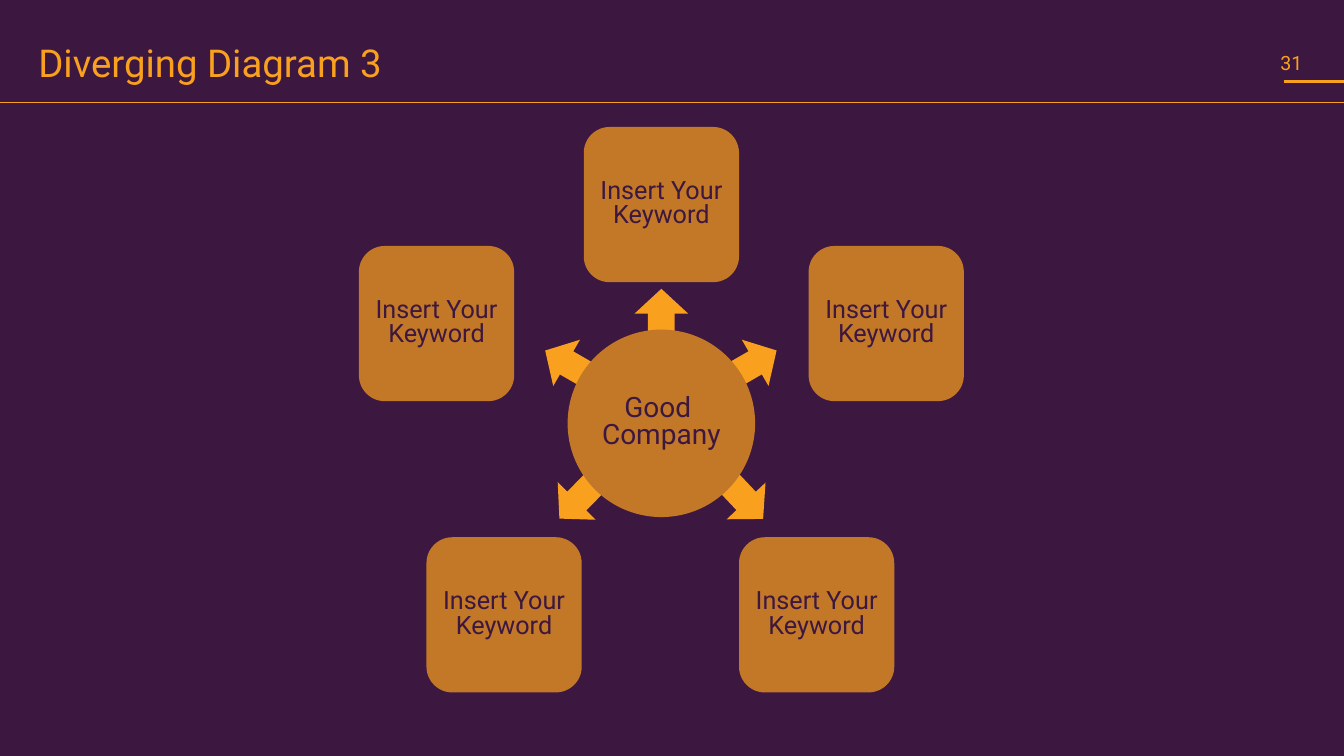
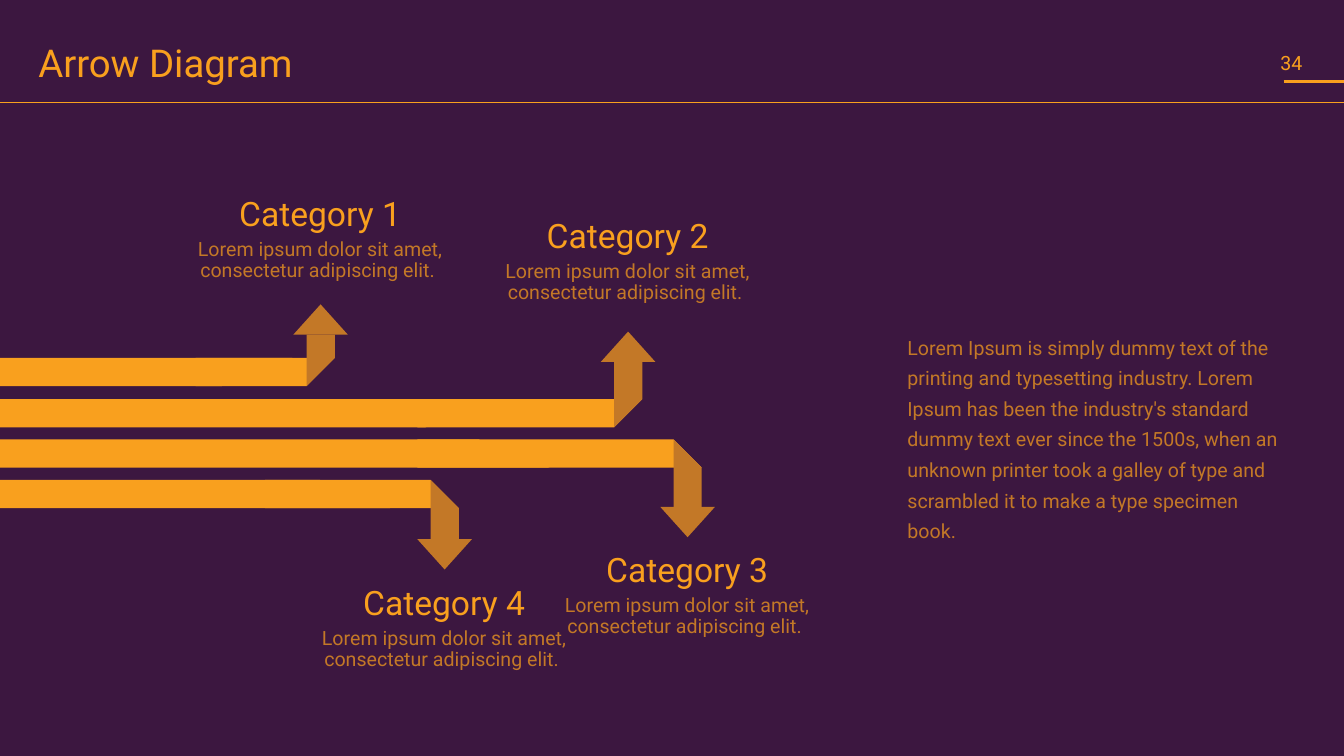
from dataclasses import dataclass

from lxml import etree
from pptx import Presentation
from pptx.dml.color import RGBColor
from pptx.enum.shapes import MSO_CONNECTOR, MSO_SHAPE
from pptx.enum.text import MSO_ANCHOR, MSO_AUTO_SIZE, PP_ALIGN
from pptx.oxml.ns import qn
from pptx.util import Inches, Pt

LEFT, MID = PP_ALIGN.LEFT, PP_ALIGN.CENTER
TOP, CORE = MSO_ANCHOR.TOP, MSO_ANCHOR.MIDDLE
FIXED = MSO_AUTO_SIZE.NONE
LINE = MSO_CONNECTOR.STRAIGHT
ARROW, DISC, CARD = MSO_SHAPE.RIGHT_ARROW, MSO_SHAPE.OVAL, MSO_SHAPE.ROUNDED_RECTANGLE


@dataclass(frozen=True)
class Theme:
    font: str = "Roboto"
    back: RGBColor = RGBColor(0x3C, 0x17, 0x40)
    gold: RGBColor = RGBColor(0xF9, 0xA0, 0x1E)
    rust: RGBColor = RGBColor(0xC3, 0x78, 0x27)
    title: float = 27.4
    head: float = 24
    hub: float = 20
    card: float = 18
    body: float = 14


theme = Theme()


def write(shape, text, size, color, align=LEFT, pitch=1.0, inset=0.05, anchor=TOP, gap=0, more=False):
    frame = shape.text_frame
    frame.word_wrap = True
    frame.auto_size = FIXED
    frame.vertical_anchor = anchor
    frame.margin_left = frame.margin_right = Inches(inset)
    frame.margin_top = frame.margin_bottom = Inches(inset)
    para = frame.add_paragraph() if more else frame.paragraphs[0]
    para.alignment = align
    para.line_spacing = pitch
    para.space_before = Pt(gap)
    run = para.add_run()
    run.text = text
    run.font.name = theme.font
    run.font.size = Pt(size)
    run.font.color.rgb = color


def paint(shape, color):
    shape.fill.solid()
    shape.fill.fore_color.rgb = color
    shape.line.fill.background()
    shape.shadow.inherit = False


deck = Presentation()
deck.slide_width = Inches(13.33)
deck.slide_height = Inches(7.5)
fill = deck.slide_master.background.fill
fill.solid()
fill.fore_color.rgb = theme.back

plan = deck.slide_layouts[5]
name = plan.placeholders[0]
name.left, name.top = Inches(0.33), Inches(0.44)
name.width, name.height = Inches(11.43), Inches(0.54)

slides = []
for title, page in (("Diverging Diagram 3", "31"), ("Arrow Diagram", "34")):
    slide = deck.slides.add_slide(plan)
    write(slide.shapes.title, title, theme.title, theme.gold, pitch=0.75)
    box = slide.shapes.add_textbox(Inches(12.63), Inches(0.44), Inches(0.4), Inches(0.37))
    write(box, page, theme.body, theme.gold, inset=0.07, anchor=CORE)
    slides.append(slide)

for start, level, weight in ((12.73, 0.81, 2), (0, 1.02, 0.5)):
    rule = slides[0].shapes.add_connector(
        LINE, Inches(start), Inches(level), deck.slide_width, Inches(level))
    rule.line.color.rgb = theme.gold
    rule.line.width = Pt(weight)
    etree.SubElement(rule.element.spPr, qn("a:effectLst"))
    plan.shapes.element.append(rule.element)

shapes = slides[0].shapes
mid_x, mid_y = 6.56, 4.2
card, disc = 1.54, 1.86
wide, high = 0.49, 0.53
nodes = (
    (0, -2.17, 0, -1.09, -90),
    (2.23, -0.99, 0.93, -0.6, -30),
    (1.54, 1.9, 0.84, 0.77, 46.6),
    (-1.56, 1.9, -0.84, 0.77, 134.6),
    (-2.23, -0.99, -0.94, -0.6, 210),
)
for card_x, card_y, tip_x, tip_y, turn in nodes:
    arrow = shapes.add_shape(
        ARROW, Inches(mid_x + tip_x - wide / 2), Inches(mid_y + tip_y - high / 2),
        Inches(wide), Inches(high))
    arrow.rotation = turn
    paint(arrow, theme.gold)
    node = shapes.add_shape(
        CARD, Inches(mid_x + card_x - card / 2), Inches(mid_y + card_y - card / 2),
        Inches(card), Inches(card))
    paint(node, theme.rust)
    write(node, "Insert Your Keyword", theme.card, theme.back, align=MID, pitch=0.8, anchor=CORE)

hub = shapes.add_shape(
    DISC, Inches(mid_x - disc / 2), Inches(mid_y - disc / 2), Inches(disc), Inches(disc))
paint(hub, theme.rust)
for word, more in (("Good ", False), ("Company", True)):
    write(hub, word, theme.hub, theme.back, align=MID, pitch=0.8, inset=0, anchor=CORE, more=more)

shapes = slides[1].shapes
band, half, wing, point, slant = 0.28, 0.14, 0.27, 0.3, 0.7
tracks = (
    ("Category 1", 3.18, 3.55, 3.02, 1.94, 2.9, 1.91),
    ("Category 2", 6.23, 3.96, 3.29, 4.14, 4.92, 2.13),
    ("Category 3", 6.82, 4.36, 5.33, 4.14, 5.45, 5.44),
    ("Category 4", 4.41, 4.76, 5.65, 2.63, 3.87, 5.77),
)
for label, x, top, tip, join, end, text_y in tracks:
    up = tip < top
    near, far = (top, top + band) if up else (top + band, top)
    neck = tip + point if up else tip - point
    west, east = x - half, x + half
    tail = ((0, far), (end - slant, far), (end, near), (0, near))
    bend = ((join, far), (west, far), (east, near), (join, near))
    stem = ((west, far), (east, near), (east, neck), (west, neck))
    head = ((x, tip), (x + wing, neck), (x - wing, neck))
    for path, color in ((tail, theme.gold), (bend, theme.gold), (stem, theme.rust), (head, theme.rust)):
        dots = [(Inches(a), Inches(b)) for a, b in path]
        form = shapes.build_freeform(*dots[0])
        form.add_line_segments(dots[1:], close=True)
        paint(form.convert_to_shape(), color)
    box = shapes.add_textbox(Inches(x - 1.45), Inches(text_y), Inches(2.89), Inches(0.93))
    write(box, label, theme.head, theme.gold, align=MID, pitch=0.9)
    write(box, "Lorem ipsum dolor sit amet, consectetur adipiscing elit. ", theme.body, theme.rust,
          align=MID, pitch=0.9, gap=4, more=True)

note = shapes.add_textbox(Inches(9), Inches(3.26), Inches(3.81), Inches(1.81))
write(note, "Lorem Ipsum is simply dummy text of the printing and typesetting industry. "
      "Lorem Ipsum has been the industry's standard dummy text ever since the 1500s, "
      "when an unknown printer took a galley of type and scrambled it to make a type "
      "specimen book.", theme.body, theme.rust, pitch=1.3, inset=0)

deck.save("out.pptx")
